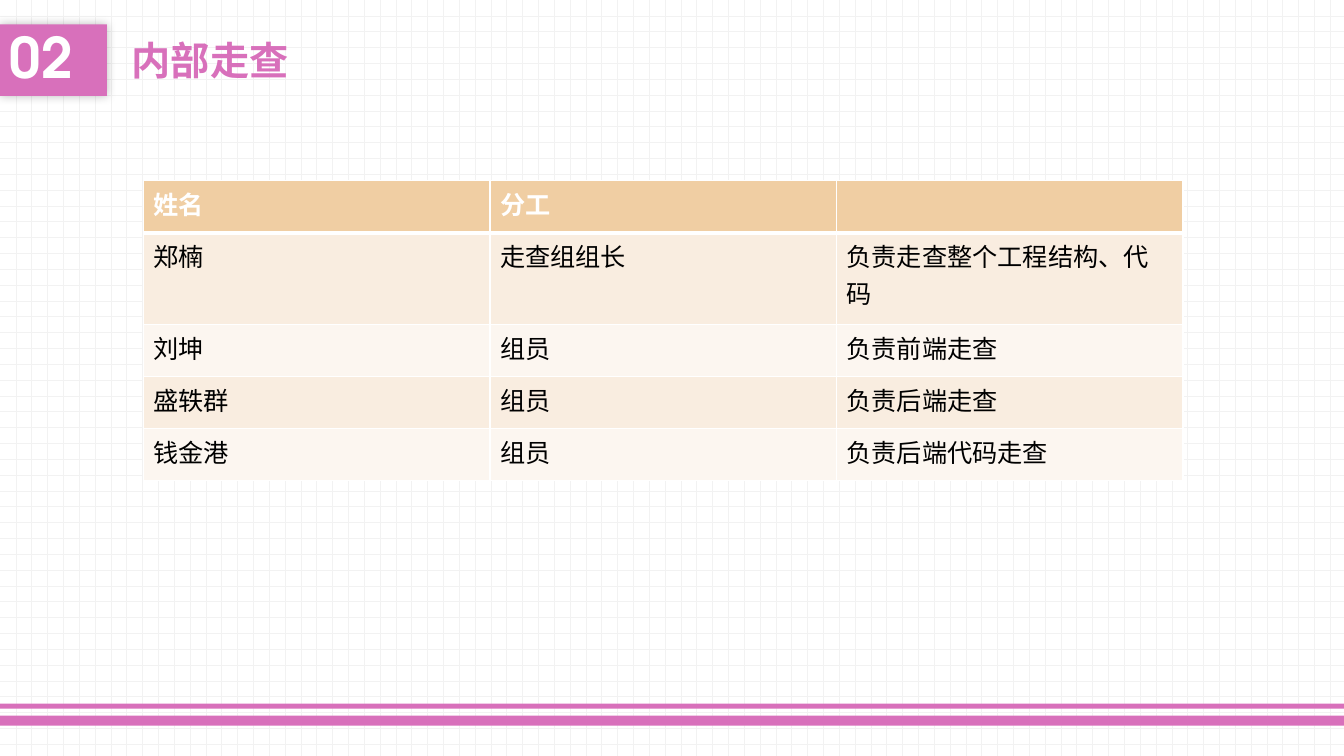
import pptx
import pptx.dml.color
import pptx.enum.dml
import pptx.enum.shapes
import pptx.enum.text
import pptx.oxml
import pptx.oxml.ns
import pptx.util
from pptx.util import Pt

SECTION_NUMBER = "02"
SECTION_TITLE = "内部走查"
TEAM = [
    ("姓名", "分工", ""),
    ("郑楠", "走查组组长", "负责走查整个工程结构、代码"),
    ("刘坤", "组员", "负责前端走查"),
    ("盛轶群", "组员", "负责后端走查"),
    ("钱金港", "组员", "负责后端代码走查"),
]

FONT = "TeX Gyre Adventor"
COLORS = {
    "pink": "D870BB",
    "white": "FFFFFF",
    "black": "000000",
    "grid": "F2F2F2",
    "header": "F0CEA3",
    "odd row": "F9EDE0",
    "even row": "FCF6F0",
}

SLIDE_WIDTH, SLIDE_HEIGHT = 960, 540
STRIPES = [(511.2, 7.2), (502.56, 3.6)]  # top, height
HEADING_TOP, HEADING_HEIGHT = 17.5, 51.12
BADGE_WIDTH = 76.4
TITLE_LEFT, TITLE_WIDTH = 87.12, 506.88
TABLE_LEFT, TABLE_TOP, COLUMN_WIDTH = 102.5, 129, 247.5
ROW_HEIGHTS = [37.2, 65.5, 37.2, 37.2, 37.2]


def color(name):
    return pptx.dml.color.RGBColor.from_string(COLORS[name])


def add_block(slide, left, top, width, height):
    block = slide.shapes.add_shape(
        pptx.enum.shapes.MSO_SHAPE.RECTANGLE, Pt(left), Pt(top), Pt(width), Pt(height))
    block.shadow.inherit = False
    block.fill.solid()
    block.fill.fore_color.rgb = color("pink")
    block.line.fill.background()
    return block


def add_glow_shadow(block):
    """Put a soft, undisplaced shadow around the block."""
    effects = block.fill._xPr.find(pptx.oxml.ns.qn("a:effectLst"))
    effects.append(pptx.oxml.parse_xml(
        f'<a:outerShdw {pptx.oxml.ns.nsdecls("a")} blurRad="{Pt(7)}" dist="0" dir="0" '
        f'algn="ctr" rotWithShape="0"><a:srgbClr val="{COLORS["black"]}">'
        '<a:alpha val="25000"/></a:srgbClr></a:outerShdw>'))


def write(frame, text, size, color_name, bold):
    frame.text = text
    paragraph = frame.paragraphs[0]
    paragraph.alignment = pptx.enum.text.PP_ALIGN.LEFT
    for font in [paragraph.font] + [run.font for run in paragraph.runs]:
        font.name = FONT
        font.size = Pt(size)
        font.bold = bold
        font.color.rgb = color(color_name)
    return paragraph


def write_heading(shape, text, size, color_name):
    frame = shape.text_frame
    frame.word_wrap = True
    frame.vertical_anchor = pptx.enum.text.MSO_ANCHOR.MIDDLE
    paragraph = write(frame, text, size, color_name, True)
    paragraph.space_before = Pt(10)
    return paragraph


def add_borders(cell, widths):
    properties = cell._tc.get_or_add_tcPr()
    for side, width in widths.items():
        properties.append(pptx.oxml.parse_xml(
            f'<a:ln{side} {pptx.oxml.ns.nsdecls("a")} w="{Pt(width)}"><a:solidFill>'
            f'<a:srgbClr val="{COLORS["white"]}"/></a:solidFill></a:ln{side}>'))


def add_team_table(slide):
    columns = len(TEAM[0])
    table = slide.shapes.add_table(
        len(TEAM), columns, Pt(TABLE_LEFT), Pt(TABLE_TOP),
        Pt(COLUMN_WIDTH * columns), Pt(sum(ROW_HEIGHTS))).table
    for column in table.columns:
        column.width = Pt(COLUMN_WIDTH)
    for r, (member, height) in enumerate(zip(TEAM, ROW_HEIGHTS)):
        table.rows[r].height = Pt(height)
        is_header = r == 0
        fill = "header" if is_header else "odd row" if r % 2 else "even row"
        for c, text in enumerate(member):
            cell = table.cell(r, c)
            add_borders(cell, {"L": 1, "R": 1, "T": 3 if r == 1 else 1,
                               "B": 3 if is_header else 1})
            cell.fill.solid()
            cell.fill.fore_color.rgb = color(fill)
            write(cell.text_frame, text, 18, "white" if is_header else "black", is_header)


def main():
    presentation = pptx.Presentation()
    presentation.slide_width, presentation.slide_height = Pt(SLIDE_WIDTH), Pt(SLIDE_HEIGHT)
    slide = presentation.slides.add_slide(presentation.slide_layouts[6])

    backdrop = slide.background.fill
    backdrop.patterned()
    backdrop.pattern = pptx.enum.dml.MSO_PATTERN.DOTTED_GRID
    backdrop.fore_color.rgb = color("grid")
    backdrop.back_color.rgb = color("white")

    for top, height in STRIPES:
        add_block(slide, 0, top, SLIDE_WIDTH, height)

    badge = add_block(slide, 0, HEADING_TOP, BADGE_WIDTH, HEADING_HEIGHT)
    add_glow_shadow(badge)
    write_heading(badge, SECTION_NUMBER, 40, "white").line_spacing = 0.9

    title = slide.shapes.add_textbox(
        Pt(TITLE_LEFT), Pt(HEADING_TOP), Pt(TITLE_WIDTH), Pt(HEADING_HEIGHT))
    write_heading(title, SECTION_TITLE, 28, "pink")

    add_team_table(slide)
    presentation.save("out.pptx")


if __name__ == "__main__":
    main()
